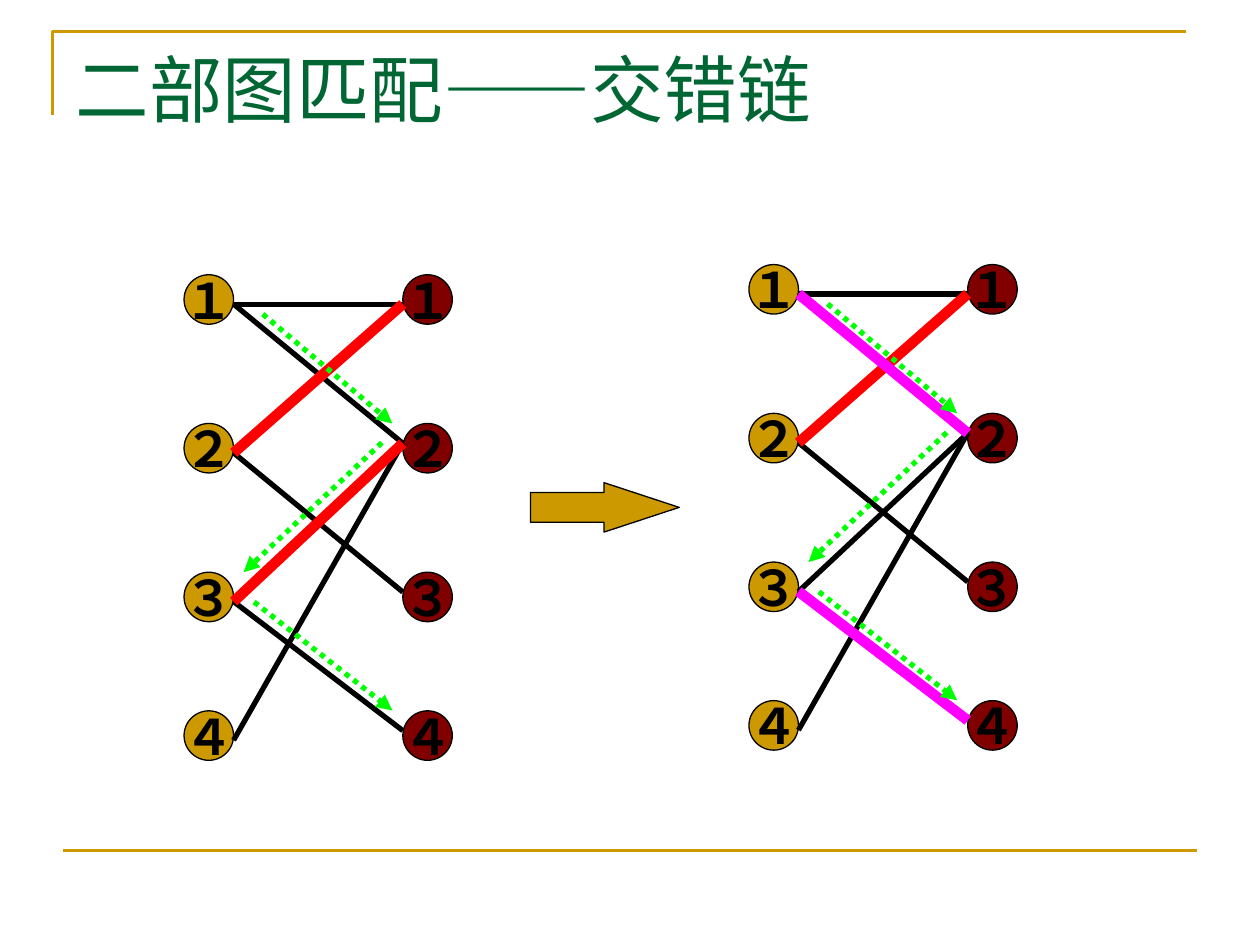
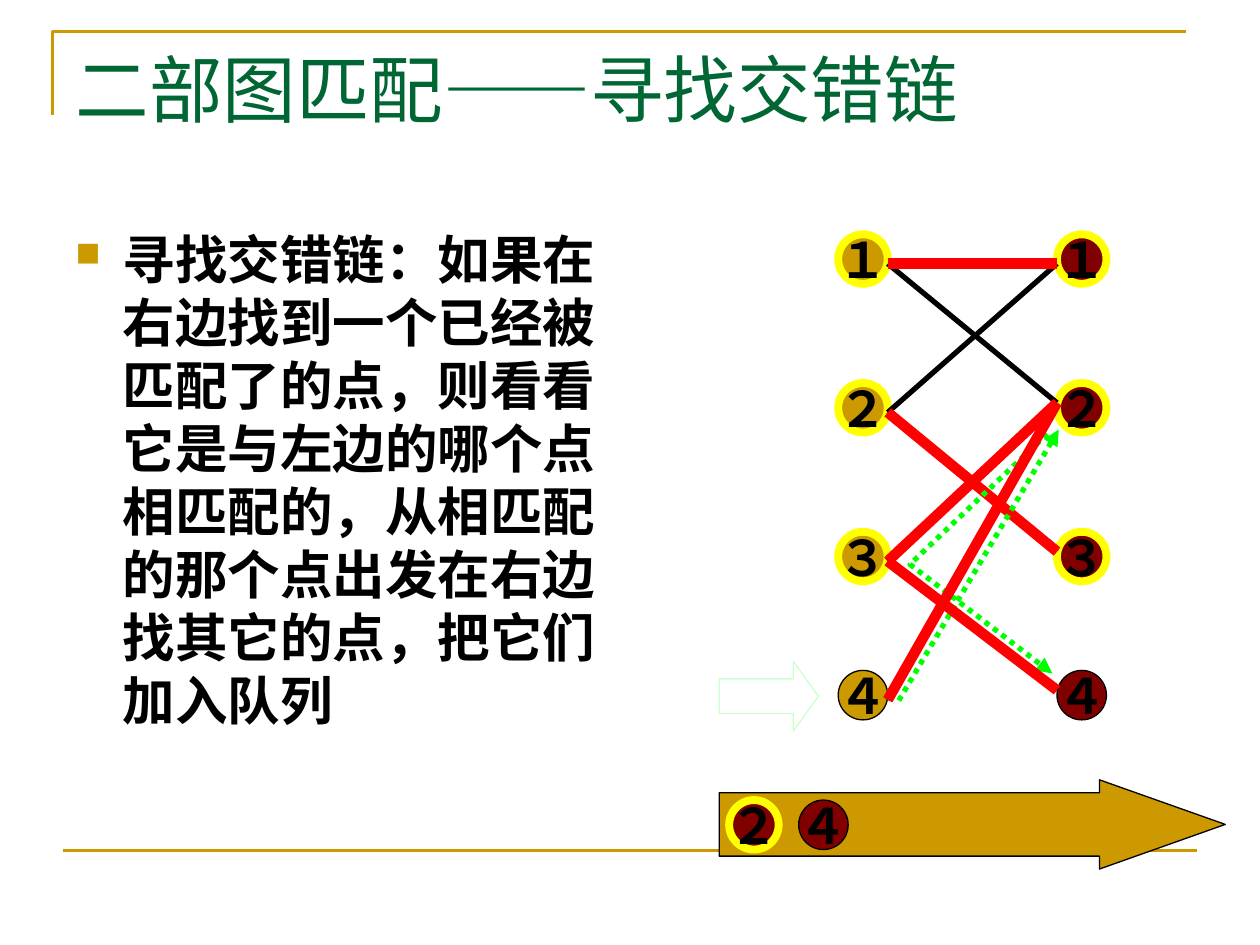
"""Two slides on alternating chains in bipartite graph matching."""
from dataclasses import dataclass
from lxml.etree import SubElement
from pptx import Presentation
from pptx.dml.color import RGBColor
from pptx.enum.dml import MSO_LINE
from pptx.enum.shapes import MSO_CONNECTOR as LINK, MSO_SHAPE as SHAPE
from pptx.enum.text import MSO_ANCHOR as ANCHOR, MSO_AUTO_SIZE as AUTOSIZE, PP_ALIGN as ALIGN
from pptx.oxml.ns import qn
from pptx.util import Pt


@dataclass(frozen=True)
class Theme:
    """Colours, faces and type sizes."""
    gold: str = "CC9900"
    maroon: str = "800000"
    green: str = "006633"
    black: str = "000000"
    white: str = "FFFFFF"
    yellow: str = "FFFF00"
    mint: str = "CCFFCC"
    red: str = "FF0000"
    magenta: str = "FF00FF"
    lime: str = "00FF00"
    face: str = "Arial"
    first_face: str = "Lato"
    title_face: str = "Times New Roman"
    title_size: int = 42
    body_size: int = 30
    node_size: int = 28


THEME = Theme()
DIGITS = "１２３４"
EDGES = [(1, 2), (2, 3), (2, 1), (3, 4), (1, 1), (3, 2), (4, 2)]
CHAIN = [[(45, 22.5), (119, 85)], [(113, 96), (34, 170)], [(40, 187), (119, 249)]]
SEARCH = [[(34.6, 266.4), (126, 111.6)], [(119.5, 114), (41, 188.6), (122.4, 251)]]

CHAIN_TITLE = "二部图匹配——交错链"
BEFORE = dict(origin=(105.2, 157), matched=[(3, 2, THEME.red), (2, 1, THEME.red)])
AFTER = dict(origin=(428, 151.2), matched=[
    (3, 4, THEME.magenta), (2, 1, THEME.red), (1, 2, THEME.magenta)])
STEP_ARROW = dict(box=(303.1, 275.8, 85, 28.3), adjust=(0.6, 1.52),
                  fill=THEME.gold, line=THEME.black)

SEARCH_TITLE = "二部图匹配——寻找交错链"
SEARCH_TEXT = ("寻找交错链：如果在右边找到一个已经被匹配了的点，则看看它是与左边的哪个点相匹配的，"
               "从相匹配的那个点出发在右边找其它的点，把它们加入队列")
SEARCH_ORIGIN = (479, 133.9)
VISITED = {1, 2, 3}
MATCHED = [(1, 1, THEME.red), (3, 2, THEME.red), (2, 3, THEME.red)]
NEW_MATCH = [(4, 2, THEME.red), (3, 4, THEME.red)]
START_ARROW = dict(box=(411, 378, 56.7, 39.7), adjust=(0.5, 0.36),
                   fill=THEME.white, line=THEME.mint)
QUEUE_ARROW = dict(box=(411, 445.6, 289.2, 51), adjust=(0.71, 1.41),
                   fill=THEME.gold, line=THEME.black)
QUEUE = [(2, True), (4, False)]
QUEUE_ORIGIN, QUEUE_STEP = (416.7, 457.2), 39.7

NODE = 28.3
ROWS = {1: 0, 2: 85, 3: 170, 4: 249.2}
RIGHT = 125
LEFT_DROP = 16.8
RIGHT_DROPS = {1: 16.8, 2: 11.3, 3: 11.3, 4: 11.3}


def rgb(code):
    return RGBColor.from_string(code)


def assign(target, **values):
    for key, value in values.items():
        setattr(target, key, value)


def outline(shape, colour, width):
    shape.line.color.rgb = rgb(colour)
    shape.line.width = Pt(width)


def write(paragraph, text, colour, **font):
    run = paragraph.add_run()
    run.text = text
    assign(run.font, **font)
    run.font.color.rgb = rgb(colour)


def link(slide, start, end, colour, width):
    line = slide.shapes.add_connector(LINK.STRAIGHT, *map(Pt, (*start, *end)))
    outline(line, colour, width)
    SubElement(line.element.spPr, qn("a:effectLst"))
    return line


def polyline(slide, points, colour, width):
    start, *rest = [tuple(map(Pt, point)) for point in points]
    builder = slide.shapes.build_freeform(*start)
    builder.add_line_segments(rest, close=False)
    route = builder.convert_to_shape()
    route.fill.background()
    route.shadow.inherit = False
    outline(route, colour, width)
    return route


def trace(slide, origin, chain):
    for points in chain:
        placed = [(origin[0] + x, origin[1] + y) for x, y in points]
        route = link(slide, *placed, THEME.lime, 3) if len(placed) == 2 else polyline(
            slide, placed, THEME.lime, 3)
        route.line.dash_style = MSO_LINE.ROUND_DOT
        SubElement(route.element.spPr.find(qn("a:ln")), qn("a:tailEnd"), type="triangle")


def solid(slide, kind, box, fill, line, width=0.75):
    shape = slide.shapes.add_shape(kind, *map(Pt, box))
    shape.shadow.inherit = False
    shape.fill.solid()
    shape.fill.fore_color.rgb = rgb(fill)
    outline(shape, line, width)
    return shape


def block_arrow(slide, box, adjust, fill, line):
    arrow = solid(slide, SHAPE.RIGHT_ARROW, box, fill, line)
    for index, value in enumerate(adjust):
        arrow.adjustments[index] = value


def node(slide, x, y, number, fill, visited=False, face=THEME.face):
    ring = (THEME.yellow, 4.5) if visited else (THEME.black, 0.75)
    circle = solid(slide, SHAPE.OVAL, (x, y, NODE, NODE), fill, *ring)
    frame = circle.text_frame
    assign(frame, word_wrap=False, vertical_anchor=ANCHOR.MIDDLE)
    paragraph = frame.paragraphs[0]
    paragraph.alignment = ALIGN.CENTER
    write(paragraph, DIGITS[number - 1], THEME.black,
          name=face, size=Pt(THEME.node_size), bold=True)


def connect(slide, origin, edges, width):
    x, y = origin
    for left, right, colour in edges:
        link(slide, (x + NODE, y + ROWS[left] + LEFT_DROP),
             (x + RIGHT, y + ROWS[right] + RIGHT_DROPS[right]), colour, width)


def graph(slide, origin, matched, visited=()):
    x, y = origin
    for number, drop in ROWS.items():
        face = THEME.first_face if number == 1 else THEME.face
        node(slide, x, y + drop, number, THEME.gold, number in visited, face)
        node(slide, x + RIGHT, y + drop, number, THEME.maroon, number in visited)
    connect(slide, origin, [(*edge, THEME.black) for edge in EDGES], 3)
    connect(slide, origin, matched, 6)


def titled_slide(deck, layout, text):
    slide = deck.slides.add_slide(layout)
    title = slide.shapes.title
    assign(title, left=Pt(36), top=Pt(21.6), width=Pt(648), height=Pt(90))
    frame = title.text_frame
    assign(frame, word_wrap=True, vertical_anchor=ANCHOR.TOP, auto_size=AUTOSIZE.NONE)
    frame.paragraphs[0].alignment = ALIGN.LEFT
    write(frame.paragraphs[0], text, THEME.green,
          name=THEME.title_face, size=Pt(THEME.title_size))
    return slide


def frame_layout(layout, slide):
    """Draw the gold frame and move it to the layout, so that every slide shows it."""
    for placeholder in list(layout.placeholders)[1:]:
        layout.shapes.element.remove(placeholder.element)
    corner = polyline(slide, [(30, 66), (30, 18), (678, 18)], THEME.gold, 1.5)
    rule = link(slide, (36, 486), (684, 486), THEME.gold, 1.5)
    for part in (corner, rule):
        layout.shapes.element.append(part.element)


def explanation(slide):
    frame = slide.shapes.add_textbox(*map(Pt, (36, 126, 312.5, 356.4))).text_frame
    frame.word_wrap = True
    paragraph = frame.paragraphs[0]
    paragraph.space_before = Pt(7.5)
    write(paragraph, SEARCH_TEXT, THEME.black,
          name=THEME.face, size=Pt(THEME.body_size), bold=True)
    properties = paragraph._p.get_or_add_pPr()
    properties.set("marL", str(Pt(27)))
    properties.set("indent", str(-Pt(27)))
    SubElement(SubElement(properties, qn("a:buClr")), qn("a:srgbClr"), val=THEME.gold)
    SubElement(properties, qn("a:buSzPct"), val="65000")
    SubElement(properties, qn("a:buChar"), char="■")


def main():
    deck = Presentation()
    assign(deck, slide_width=Pt(720), slide_height=Pt(540))
    layout = deck.slide_layouts[5]

    chain = titled_slide(deck, layout, CHAIN_TITLE)
    frame_layout(layout, chain)
    for side in (BEFORE, AFTER):
        graph(chain, **side)
        trace(chain, side["origin"], CHAIN)
    block_arrow(chain, **STEP_ARROW)

    search = titled_slide(deck, layout, SEARCH_TITLE)
    explanation(search)
    graph(search, SEARCH_ORIGIN, MATCHED, VISITED)
    block_arrow(search, **START_ARROW)
    block_arrow(search, **QUEUE_ARROW)
    trace(search, SEARCH_ORIGIN, SEARCH)
    x, y = QUEUE_ORIGIN
    for place, (number, visited) in enumerate(QUEUE):
        node(search, x + place * QUEUE_STEP, y, number, THEME.maroon, visited)
    connect(search, SEARCH_ORIGIN, NEW_MATCH, 6)
    deck.save("out.pptx")


if __name__ == "__main__":
    main()
